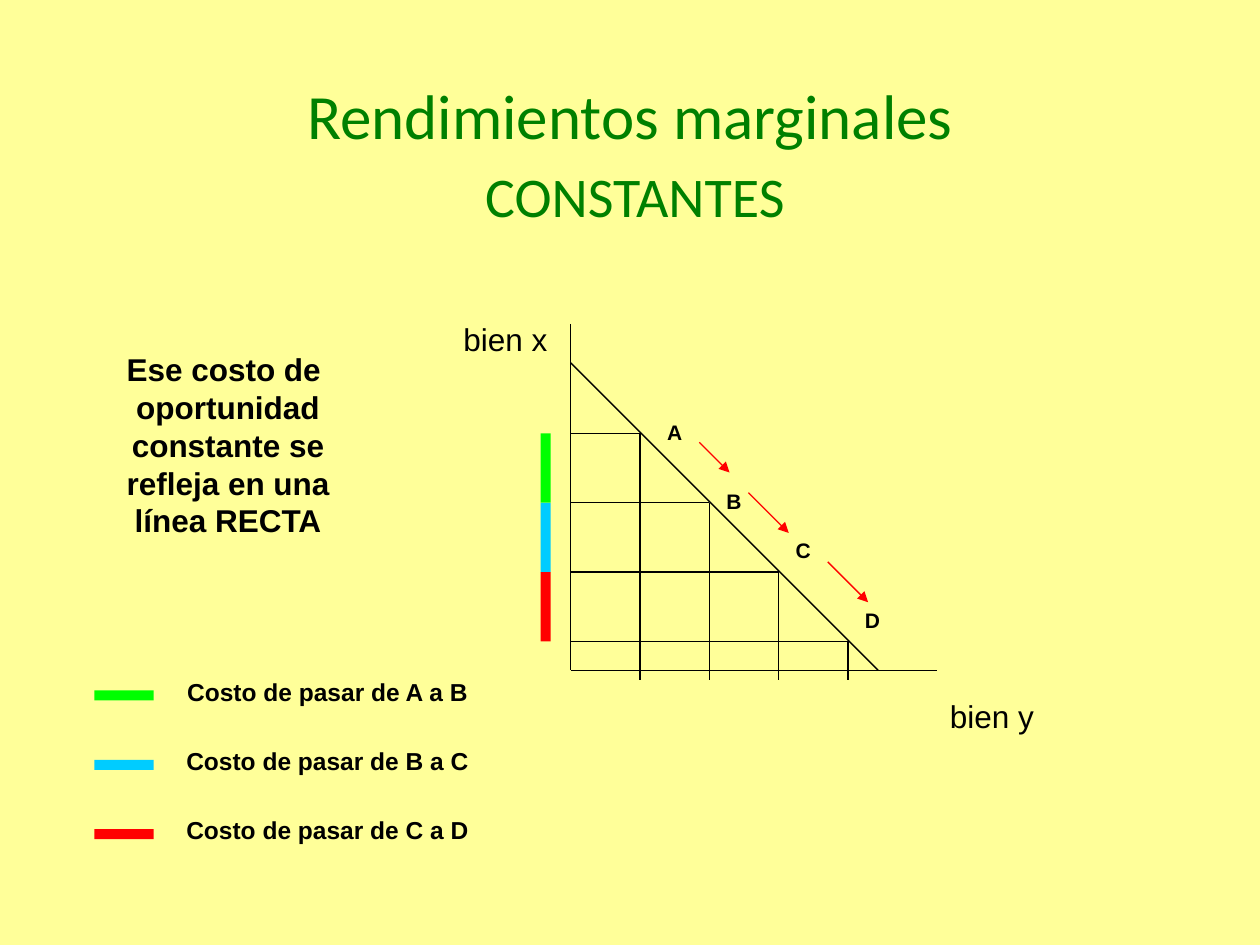
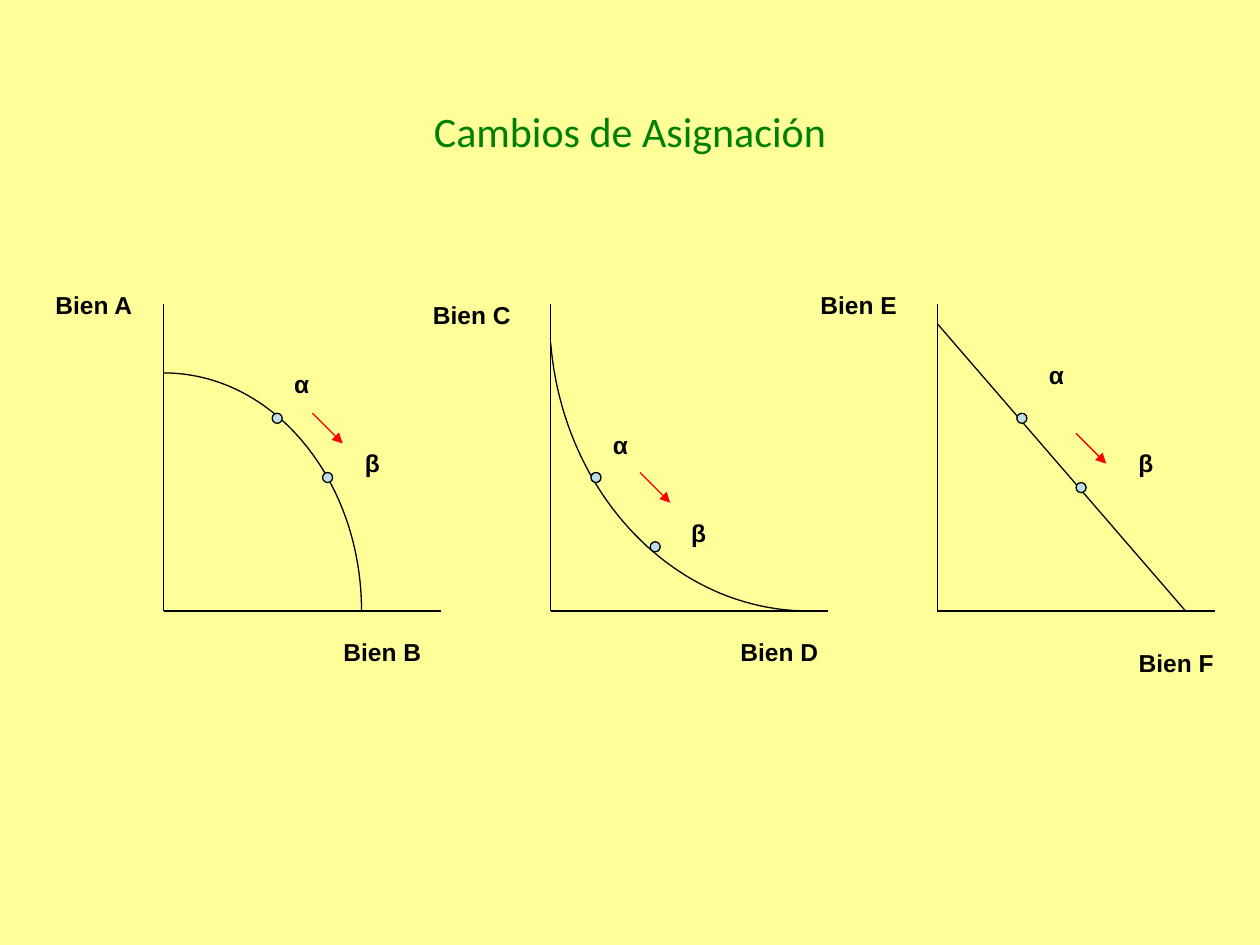
from lxml.etree import SubElement
from pptx import Presentation
from pptx.dml.color import RGBColor
from pptx.enum.shapes import MSO_CONNECTOR, MSO_SHAPE
from pptx.enum.text import MSO_ANCHOR, MSO_AUTO_SIZE, PP_ALIGN
from pptx.oxml.ns import qn
from pptx.util import Inches, Pt

CREAM = RGBColor(0xFF, 0xFF, 0x99)
GREEN = RGBColor(0x00, 0x80, 0x00)
BLACK = RGBColor(0x00, 0x00, 0x00)
RED = RGBColor(0xFF, 0x00, 0x00)
LIME = RGBColor(0x00, 0xFF, 0x00)
SKY = RGBColor(0x00, 0xCC, 0xFF)
PALE_BLUE = RGBColor(0xBB, 0xE0, 0xE3)
LINE_WIDTH = Pt(0.75)


def add_label(slide, text, left, top, width, size=14, bold=True, lines=1,
              align=PP_ALIGN.CENTER, font="Arial", color=BLACK):
    """Add a text box whose height follows from its size and line count."""
    height = 0.1 + lines * size * 1.2 / 72
    label = slide.shapes.add_textbox(
        Inches(left), Inches(top), Inches(width), Inches(height))
    frame = label.text_frame
    frame.word_wrap = True
    frame.text = text
    paragraph = frame.paragraphs[0]
    paragraph.alignment = align
    run_font = paragraph.runs[0].font
    run_font.name, run_font.size, run_font.bold = font, Pt(size), bold
    run_font.color.rgb = color


def add_line(slide, x1, y1, x2, y2, arrow=False):
    """Add a thin black line, or a red arrow."""
    line = slide.shapes.add_connector(
        MSO_CONNECTOR.STRAIGHT, Inches(x1), Inches(y1), Inches(x2), Inches(y2))
    line.line.color.rgb = RED if arrow else BLACK
    line.line.width = LINE_WIDTH
    properties = line._element.spPr
    if arrow:
        SubElement(properties.find(qn("a:ln")), qn("a:tailEnd"), type="triangle")
    SubElement(properties, qn("a:effectLst"))


prs = Presentation()
prs.slide_width, prs.slide_height = Inches(10), Inches(7.5)
background = prs.slide_master.background.fill
background.solid()
background.fore_color.rgb = CREAM

# Both slides share the title style
slides = []
for heading, top, height, size in [
    ("Rendimientos marginales", 0.28, 1.26, 36),
    ("Cambios de Asignación", 0.68, 0.71, 24),
]:
    slide = prs.slides.add_slide(prs.slide_layouts[5])
    title = slide.shapes.title
    title.left, title.top = Inches(0.75), Inches(top)
    title.width, title.height = Inches(8.5), Inches(height)
    title.text_frame.text = heading
    title.text_frame.auto_size = MSO_AUTO_SIZE.NONE
    title.text_frame.vertical_anchor = MSO_ANCHOR.MIDDLE
    paragraph = title.text_frame.paragraphs[0]
    paragraph.alignment = PP_ALIGN.CENTER
    title_font = paragraph.runs[0].font
    title_font.name, title_font.size = "Calibri", Pt(size)
    title_font.color.rgb = GREEN
    slides.append(slide)
constant_returns, allocation_changes = slides

# Slide 1: straight frontier with a constant opportunity cost
add_label(constant_returns, "CONSTANTES", 3.27, 1.23, 3.54, 32, False,
          font="Calibri", color=GREEN)
add_label(constant_returns,
          "Ese costo de  oportunidad constante se refleja en una línea RECTA",
          0.75, 2.73, 2.12, 18, lines=5)
for good, left, top in [("bien x", 3.58, 2.49), ("bien y", 7.44, 5.48)]:
    add_label(constant_returns, good, left, top, 1.15, 18, False,
              align=PP_ALIGN.LEFT)

origin_x, origin_y, step = 4.53, 5.32, 0.55
add_line(constant_returns, origin_x, 2.57, origin_x, origin_y)
add_line(constant_returns, origin_x, origin_y, 7.44, origin_y)
add_line(constant_returns, origin_x, 2.88, 6.97, origin_y)

points = [("A", 5.16, 3.28), ("B", 5.63, 3.83), ("C", 6.18, 4.22), ("D", 6.73, 4.77)]
for i, (point, left, top) in enumerate(points):
    x, y = origin_x + (i + 1) * step, 3.44 + i * step
    add_line(constant_returns, x, y, x, 5.4)
    add_line(constant_returns, origin_x, y, x, y)
    add_label(constant_returns, point, left, top, 0.39, 12)

for x, y, length in [(5.55, 3.51, 0.24), (5.94, 3.91, 0.32), (6.57, 4.46, 0.32)]:
    add_line(constant_returns, x, y, x + length, y + length, arrow=True)

costs = [("A a B", LIME), ("B a C", SKY), ("C a D", RED)]
for i, (move, color) in enumerate(costs):
    drop = i * step
    for left, top, width, height in [(4.29, 3.44 + drop, 0.08, step),
                                     (0.75, 5.48 + drop, 0.47, 0.08)]:
        bar = constant_returns.shapes.add_shape(
            MSO_SHAPE.RECTANGLE, Inches(left), Inches(top),
            Inches(width), Inches(height))
        bar.shadow.inherit = False
        bar.fill.solid()
        bar.fill.fore_color.rgb = color
        bar.line.fill.background()
    add_label(constant_returns, f"Costo de pasar de {move}", 1.35, 5.32 + drop, 2.5)

# Slide 2: concave, convex and straight frontiers
panels = [
    dict(goods=[("Bien A", 0.27, 2.25), ("Bien B", 2.56, 5.01)],
         curve=[(1.3, 2.96), (2.17, 2.96), (2.87, 3.81), (2.87, 4.85)],
         dots=[(2.16, 3.28), (2.56, 3.75)], arrow=(2.48, 3.28),
         greek=[("α", 2.16, 2.88), ("β", 2.72, 3.51)]),
    dict(goods=[("Bien C", 3.27, 2.33), ("Bien D", 5.71, 5.01)],
         curve=[(4.37, 2.72), (4.47, 3.93), (5.36, 4.85), (6.42, 4.85)],
         dots=[(4.69, 3.75), (5.16, 4.3)], arrow=(5.08, 3.75),
         greek=[("α", 4.69, 3.36), ("β", 5.31, 4.06)]),
    dict(goods=[("Bien E", 6.34, 2.25), ("Bien F", 8.86, 5.09)],
         curve=None,
         dots=[(8.07, 3.28), (8.54, 3.83)], arrow=(8.54, 3.44),
         greek=[("α", 8.15, 2.81), ("β", 8.86, 3.51)]),
]
floor, segments = 4.85, 48
for i, panel in enumerate(panels):
    axis_x = 1.3 + i * 3.07
    add_line(allocation_changes, axis_x, 2.41, axis_x, floor)
    add_line(allocation_changes, axis_x, floor, axis_x + 2.2, floor)

    if panel["curve"]:
        # Points along a cubic Bézier curve
        outline = []
        for n in range(segments + 1):
            t = n / segments
            weights = ((1 - t) ** 3, 3 * t * (1 - t) ** 2, 3 * t ** 2 * (1 - t), t ** 3)
            outline.append(tuple(
                Inches(sum(w * c for w, c in zip(weights, coordinates)))
                for coordinates in zip(*panel["curve"])))
        builder = allocation_changes.shapes.build_freeform(*outline[0])
        builder.add_line_segments(outline[1:], close=False)
        frontier = builder.convert_to_shape()
        frontier.shadow.inherit = False
        frontier.fill.background()
        frontier.line.color.rgb = BLACK
        frontier.line.width = LINE_WIDTH
    else:
        add_line(allocation_changes, axis_x, 2.57, 9.41, floor)

    for left, top in panel["dots"]:
        dot = allocation_changes.shapes.add_shape(
            MSO_SHAPE.OVAL, Inches(left), Inches(top), Inches(0.08), Inches(0.08))
        dot.shadow.inherit = False
        dot.fill.solid()
        dot.fill.fore_color.rgb = PALE_BLUE
        dot.line.color.rgb = BLACK
        dot.line.width = LINE_WIDTH

    x, y = panel["arrow"]
    add_line(allocation_changes, x, y, x + 0.24, y + 0.24, arrow=True)
    for good, left, top in panel["goods"]:
        add_label(allocation_changes, good, left, top, 0.95)
    for letter, left, top in panel["greek"]:
        add_label(allocation_changes, letter, left, top, 0.47)

prs.save("out.pptx")
